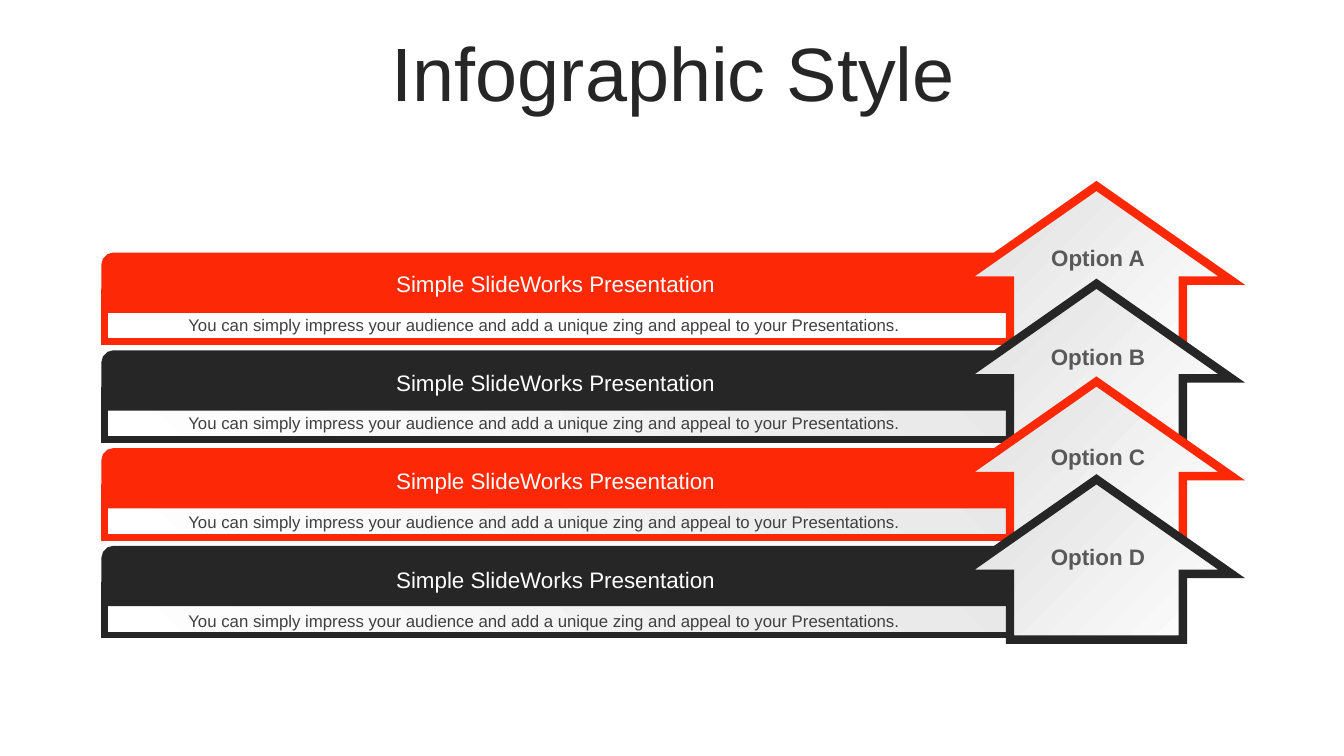
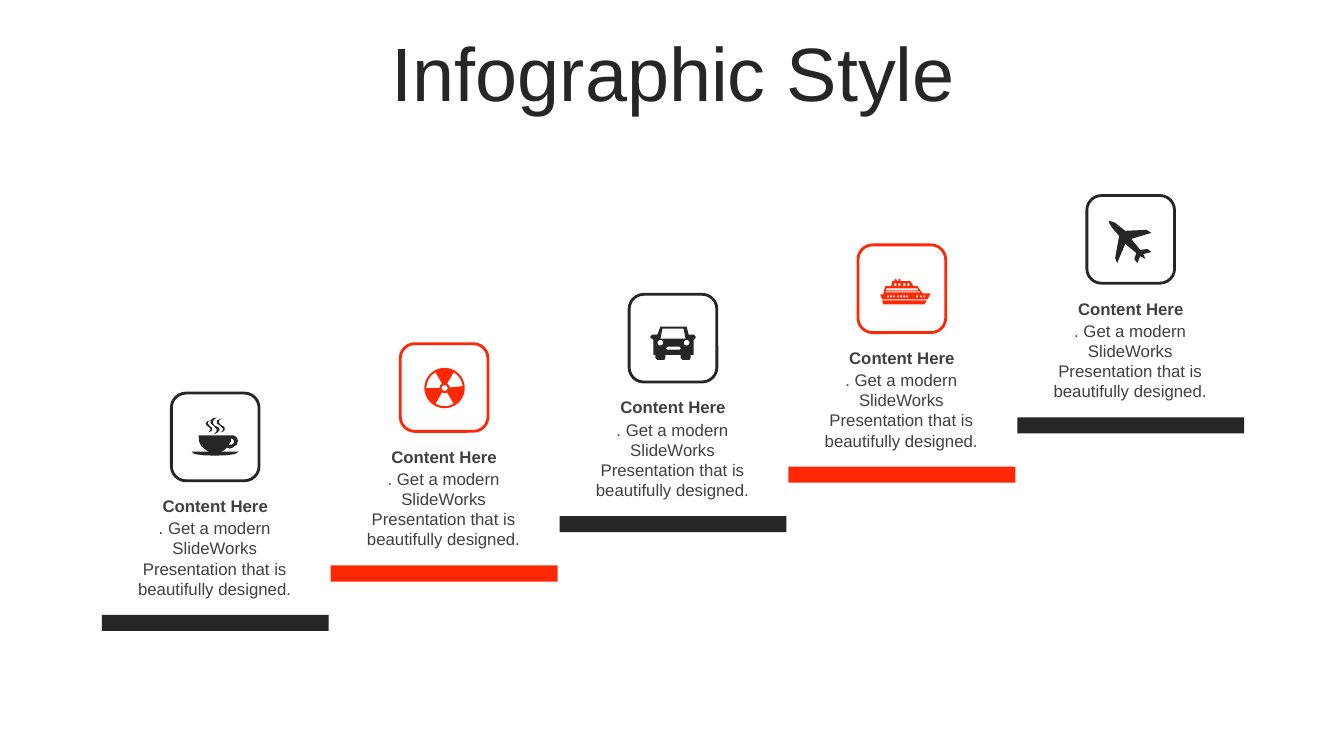
from math import cos, radians, sin

from lxml import etree
from pptx import Presentation
from pptx import util as u
from pptx.dml.color import RGBColor
from pptx.enum import shapes, text
from pptx.oxml.ns import qn


class Theme:
    font = "Arial"
    red, dark = "FD2906", "262626"
    white, pale, silver = "FFFFFF", "E8E8E8", "DEDEDE"
    body, label = "404040", "595959"
    title, head, small = 54, 16, 12


def write(page, words, at, size=Theme.small, color=Theme.body, bold=False, title=False):
    """Put centred text in a new box, or in the title placeholder."""
    left, top, wide, high = map(u.Inches, at)
    if title:
        box = page.shapes.title
        box.left, box.top, box.width, box.height = left, top, wide, high
    else:
        box = page.shapes.add_textbox(left, top, wide, high)
    frame = box.text_frame
    frame.word_wrap = True
    frame.auto_size = text.MSO_AUTO_SIZE.NONE
    frame.vertical_anchor = text.MSO_ANCHOR.MIDDLE if title else text.MSO_ANCHOR.TOP
    para = frame.paragraphs[0]
    para.alignment = text.PP_ALIGN.CENTER
    if title:
        para.line_spacing = 0.9
    run = para.add_run()
    run.text = words
    font = run.font
    font.name, font.size, font.bold = Theme.font, u.Pt(size), bold
    font.color.rgb = RGBColor.from_string(color)


def paint(shape, fill=None, line=None, width=0):
    """Fill with a colour, a pair of colours (gradient) or nothing; set the line."""
    shape.shadow.inherit = False
    if fill is None:
        shape.fill.background()
    elif isinstance(fill, tuple):
        shape.fill.gradient()
        shape.fill.gradient_angle = 225
        for stop, color, place in zip(shape.fill.gradient_stops, fill, (0, 1)):
            stop.color.rgb = RGBColor.from_string(color)
            stop.position = place
    else:
        shape.fill.solid()
        shape.fill.fore_color.rgb = RGBColor.from_string(fill)
    if line is None:
        shape.line.fill.background()
    else:
        shape.line.color.rgb = RGBColor.from_string(line)
        shape.line.width = u.Pt(width)
        ln = shape._element.spPr.find(qn("a:ln"))
        etree.SubElement(ln, qn("a:miter"), lim="800000")


deck = Presentation()
deck.slide_width, deck.slide_height = u.Inches(13.33), u.Inches(7.5)
pages = []
for _ in range(2):
    page = deck.slides.add_slide(deck.slide_layouts[5])
    write(page, "Infographic Style", (0.35, 0.37, 12.66, 0.79),
          size=Theme.title, color=Theme.dark, title=True)
    pages.append(page)
stack, steps = pages
kind = shapes.MSO_SHAPE

# Stacked bars with overlapping arrows
tones = [Theme.red, Theme.dark] * 2
for i, tone in enumerate(tones):
    down = 0.97 * i
    panel = stack.shapes.add_shape(kind.RECTANGLE, u.Inches(1.04), u.Inches(2.9 + down),
                                   u.Inches(9.09), u.Inches(0.49))
    paint(panel, (Theme.pale, Theme.white) if i else Theme.white, tone, 5)
    band = stack.shapes.add_shape(kind.ROUND_2_SAME_RECTANGLE, u.Inches(1.04),
                                  u.Inches(2.54 + down), u.Inches(9.09), u.Inches(0.53))
    paint(band, tone, tone, 5)

for i, tone in enumerate(tones):
    arrow = stack.shapes.add_shape(kind.RIGHT_ARROW, u.Inches(10.08),
                                   u.Inches(1.3 + 0.97 * i), u.Inches(1.59), u.Inches(2.68))
    arrow.rotation = 270
    arrow.adjustments[0], arrow.adjustments[1] = 0.64, 0.59
    paint(arrow, (Theme.silver, Theme.white), tone, 6)

for i, mark in enumerate("ABCD"):
    down = 0.98 * i
    write(stack, f"Option {mark}", (10.23, 2.37 + 0.99 * i, 1.32, 0.37),
          size=Theme.head, color=Theme.label, bold=True)
    write(stack, "Simple SlideWorks Presentation", (1.57, 2.63 + down, 7.88, 0.37),
          size=Theme.head, color=Theme.white)
    write(stack, "You can simply impress your audience and add a unique zing "
          "and appeal to your Presentations.", (1.46, 3.07 + down, 7.88, 0.3))

# Icon outlines, in hundredths of an inch from the corner of their tile
cup = [
    [(59, 42), (62, 42), (65, 44), (66, 47), (65, 51), (61, 54), (58, 55), (55, 54),
     (52, 57), (48, 58), (67, 58), (63, 60.5), (54, 61.7), (43, 62), (32, 61.7),
     (23, 60.5), (20, 58), (38, 58), (35, 57), (30, 53), (27.5, 48), (27, 42)],
    [(59, 45), (59, 48), (57, 51), (60, 51), (62, 49.5), (62, 47), (61, 45.5)],
    [(39, 27), (36.5, 28.5), (36, 30), (38, 32.5), (40.5, 34.5), (40.5, 37),
     (37, 39), (39, 36), (37.5, 34), (35, 32), (34, 30), (35.5, 28)],
    [(45, 24), (42, 26.5), (41, 29), (42.5, 32), (47, 34), (48, 36.5), (46, 39),
     (42, 41), (44.5, 38.5), (45, 36), (42.5, 33), (39, 30), (39, 27), (41, 25)],
    [(50, 25), (47.5, 27), (47, 29), (49, 31.5), (52.5, 33.5), (53, 36),
     (51.5, 38), (49, 39), (51, 37), (51, 35), (48.5, 32.5), (45, 30), (45.5, 27)],
]
ring = [(cos(radians(a)), sin(radians(a))) for a in range(0, 360, 6)]
wheel = [[(44 + r * x, 44 + r * y) for x, y in ring] for r in (20, 3)]
for start in (10, 30, 50):
    wedge = ring[start:start + 11]
    wheel.append([(44 + 5 * x, 44 + 5 * y) for x, y in wedge]
                 + [(44 + 18 * x, 44 + 18 * y) for x, y in reversed(wedge)])
car = [
    [(31, 32), (57, 32), (59, 40), (64, 40), (66, 42), (66, 43), (64, 45), (64, 60),
     (61, 60), (61, 63), (60, 65), (53, 65), (51, 63), (51, 60), (36, 60), (36, 63),
     (35, 65), (28, 65), (26, 63), (26, 60), (24, 60), (24, 45), (21, 43), (21, 42),
     (23, 40), (28, 40)],
    [(33, 34), (31, 44), (56, 44), (54, 34)],
    [(38, 52), (37, 53), (37, 54), (38, 55), (50, 55), (51, 54), (51, 53), (50, 52)],
]
car += [[(c + 2.8 * x, 48 + 2.8 * y) for x, y in ring] for c in (31, 57)]
ship = [
    [(24, 55), (68, 55), (66, 59), (25, 59)],
    [(40, 34), (42, 34), (42, 36), (52, 36), (55, 41), (59, 41), (64, 48), (72, 48),
     (69, 54), (24, 54), (22, 49), (25, 49), (27, 41), (33, 41), (34, 36), (36, 36),
     (37, 34), (38, 34), (39, 36), (40, 36)],
    [(28, 46), (27, 47), (62, 47), (61, 46)],
    [(28, 43), (28, 45), (60, 45), (59, 43)],
]
ports = [(x, 50, 1.7, 2) for x in (29, 32, 35, 39, 42, 45, 48, 58, 62, 65)]
ports += [(x, 38, 2, 3) for x in (36, 40, 45, 49)]
ship += [[(x, y), (x, y + h), (x + w, y + h), (x + w, y)] for x, y, w, h in ports]
plane = [
    [(64, 56), (56, 58), (58, 63), (53, 60), (50, 67), (47, 63), (49, 57), (38, 48),
     (30, 67), (28, 62), (32, 40), (25, 32), (22, 27), (22, 25), (28, 27), (38, 35),
     (59, 34), (64, 37), (44, 43), (53, 54), (60, 53)],
]

# Rising steps
for i, icon in enumerate((cup, wheel, car, ship, plane)):
    right, rise = 2.27 * i, 0.49 * i
    tone = Theme.red if i % 2 else Theme.dark
    bar = steps.shapes.add_shape(kind.RECTANGLE, u.Inches(1.01 + right),
                                 u.Inches(6.1 - rise), u.Inches(2.25), u.Inches(0.16))
    paint(bar, tone)
    left, top = 1.7 + right, 3.9 - rise
    tile = steps.shapes.add_shape(kind.ROUNDED_RECTANGLE, u.Inches(left), u.Inches(top),
                                  u.Inches(0.87), u.Inches(0.87))
    paint(tile, None, tone, 2)
    write(steps, ". Get a modern SlideWorks Presentation that is beautifully designed.",
          (1.15 + right, 5.09 - rise, 1.96, 0.91))
    write(steps, "Content Here", (1.14 + right, 4.87 - rise, 1.99, 0.3), bold=True)
    pen = None
    for loop in icon:
        spots = [(u.Inches(left + x / 100), u.Inches(top + y / 100)) for x, y in loop]
        if pen is None:
            pen = steps.shapes.build_freeform(*spots[0])
        else:
            pen.move_to(*spots[0])
        pen.add_line_segments(spots[1:], close=True)
    paint(pen.convert_to_shape(), tone)

deck.save("out.pptx")
